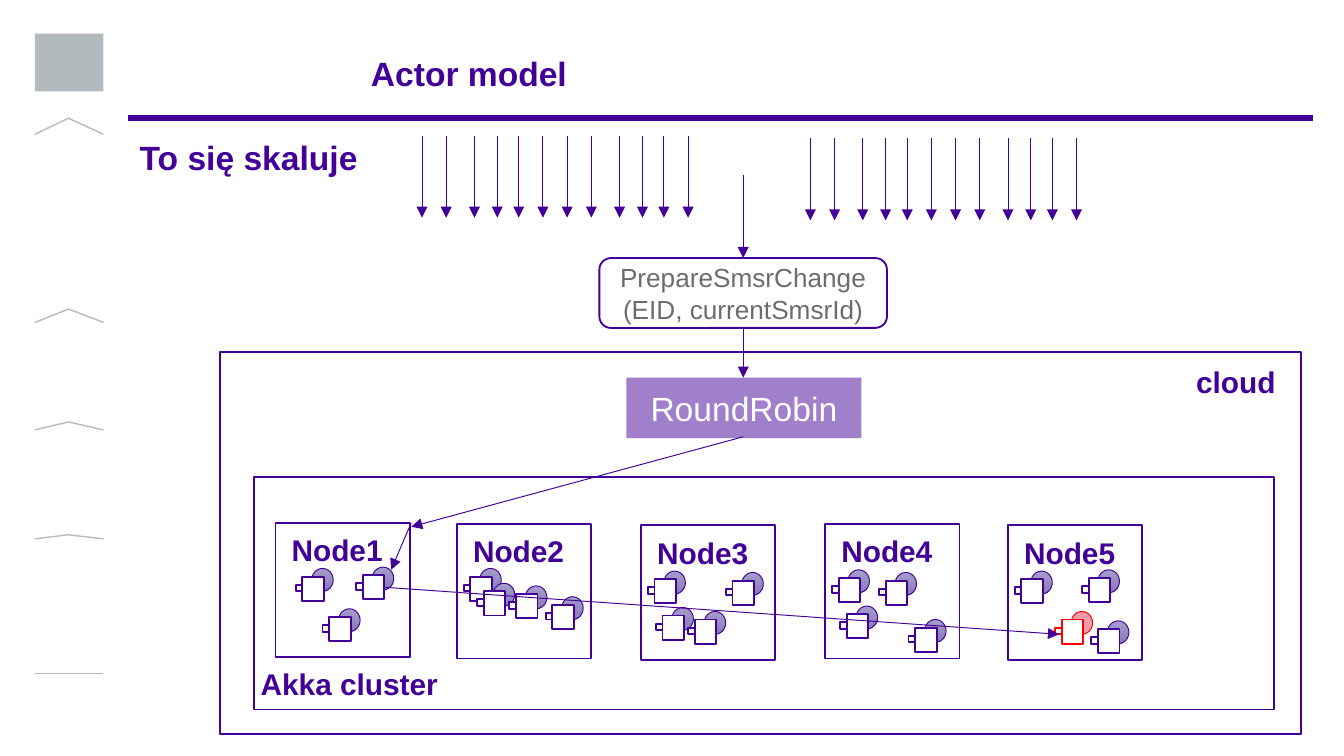
from typing import NamedTuple

from lxml.etree import SubElement
from pptx import Presentation
from pptx.dml.color import RGBColor
from pptx.enum.shapes import MSO_CONNECTOR as Connector, MSO_SHAPE as Shape
from pptx.enum.text import MSO_ANCHOR as Anchor, PP_ALIGN as Align
from pptx.oxml.ns import qn
from pptx.util import Inches, Pt

PURPLE, WHITE, GREY, TEXT_GREY, RED = "430099", "FFFFFF", "B3BABE", "6C6D6B", "FF0000"
ACTOR_TOP, ACTOR_BOTTOM, RED_ACTOR = "A59DCA", "877CB8", "F39CA9"


class Actor(NamedTuple):
    left: float
    top: float
    active: bool = False


class Node(NamedTuple):
    name: str
    left: float
    top: float
    actors: list[Actor]


class Arrow(NamedTuple):
    x1: float
    y1: float
    x2: float
    y2: float


class Label(NamedTuple):
    text: str
    left: float
    top: float
    width: float
    size: int = 16


class Chevron(NamedTuple):
    peak: float
    base: float


NODES = [
    Node("Node1", 2.05, 3.89, [Actor(2.2, 4.23), Actor(2.65, 4.22), Actor(2.4, 4.53)]),
    Node("Node2", 3.4, 3.9, [Actor(3.45, 4.23), Actor(3.55, 4.34),
                             Actor(3.79, 4.36), Actor(4.06, 4.44)]),
    Node("Node3", 4.77, 3.91, [Actor(4.82, 4.25), Actor(4.88, 4.52),
                               Actor(5.12, 4.55), Actor(5.4, 4.26)]),
    Node("Node4", 6.14, 3.9, [Actor(6.19, 4.24), Actor(6.25, 4.51),
                              Actor(6.54, 4.26), Actor(6.76, 4.61)]),
    Node("Node5", 7.5, 3.91, [Actor(7.55, 4.25), Actor(8.05, 4.24),
                              Actor(7.85, 4.55, active=True), Actor(8.12, 4.62)]),
]
LABELS = [
    Label("Actor model", 2.72, 0.33, 8, 18),
    Label("To się skaluje", 1, 0.95, 8, 18),
    Label("cloud", 8.86, 2.62, 0.83),
    Label("Akka cluster", 1.9, 4.87, 1.74),
]
MESSAGE_PATH = [
    Arrow(5.53, 1.3, 5.53, 1.92),
    Arrow(5.53, 2.44, 5.53, 2.81),
    Arrow(5.53, 3.25, 3.06, 3.92),
    Arrow(3.06, 3.89, 2.91, 4.24),
    Arrow(2.86, 4.37, 7.88, 4.72),
]
REQUEST_STARTS = [(3.14, 1.01), (6.03, 1.03)]
REQUEST_OFFSETS = [0, 0.18, 0.39, 0.56, 0.72, 0.9]
REQUEST_PERIOD, REQUEST_LENGTH = 1.08, 0.61
CHEVRONS = [Chevron(0.88, 1), Chevron(2.3, 2.4), Chevron(3.14, 3.2),
            Chevron(3.98, 4.01), Chevron(5.01, 5.01)]


def color(hex_code: str) -> RGBColor:
    return RGBColor.from_string(hex_code)


def add_block(shapes, kind, left: float, top: float, width: float, height: float,
              fill: str | None = WHITE, line: str | None = PURPLE, weight: float = 1):
    block = shapes.add_shape(kind, Inches(left), Inches(top), Inches(width), Inches(height))
    block.shadow.inherit = False
    if fill:
        block.fill.solid()
        block.fill.fore_color.rgb = color(fill)
    if line:
        block.line.color.rgb = color(line)
        block.line.width = Pt(weight)
    else:
        block.line.fill.background()
    return block


def add_span(para, text: str, size: int, hex_code: str, bold: bool = False) -> None:
    span = para.add_run()
    span.text = text
    span.font.name = "Arial"
    span.font.size = Pt(size)
    span.font.bold = bold
    span.font.color.rgb = color(hex_code)


def write_centred(block, lines: list[str], size: int, hex_code: str) -> None:
    frame = block.text_frame
    frame.word_wrap = True
    frame.vertical_anchor = Anchor.MIDDLE
    for index, line in enumerate(lines):
        para = frame.add_paragraph() if index else frame.paragraphs[0]
        para.alignment = Align.CENTER
        add_span(para, line, size, hex_code)


def add_label(shapes, label: Label) -> None:
    box = shapes.add_textbox(Inches(label.left), Inches(label.top),
                             Inches(label.width), Inches(0.47))
    frame = box.text_frame
    frame.word_wrap = True
    frame.vertical_anchor = Anchor.MIDDLE
    frame.margin_left = frame.margin_right = Inches(0.04)
    frame.margin_top = frame.margin_bottom = 0
    para = frame.paragraphs[0]
    para.line_spacing = 0.9
    add_span(para, label.text, label.size, PURPLE, bold=True)


def add_line(shapes, ends: Arrow, weight: float = 0.5, head: bool = True) -> None:
    line = shapes.add_connector(Connector.STRAIGHT, *(Inches(value) for value in ends))
    line.line.color.rgb = color(PURPLE)
    line.line.width = Pt(weight)
    properties = line._element.spPr
    if head:
        SubElement(properties.get_or_add_ln(), qn("a:tailEnd"), type="triangle")
    SubElement(properties, qn("a:effectLst"))


def add_actor(shapes, actor: Actor) -> None:
    """Draw an actor as a circle behind a square body with a small port."""
    group = shapes.add_group_shape().shapes
    line = RED if actor.active else PURPLE
    fill = RED_ACTOR if actor.active else None
    circle = add_block(group, Shape.OVAL, actor.left + 0.12, actor.top, 0.16, 0.17,
                       fill, line, 0.5)
    if not actor.active:
        circle.fill.gradient()
        circle.fill.gradient_angle = 270
        for stop, shade in zip(circle.fill.gradient_stops, (ACTOR_TOP, ACTOR_BOTTOM)):
            stop.color.rgb = color(shade)
    add_block(group, Shape.RECTANGLE, actor.left + 0.05, actor.top + 0.06, 0.16, 0.18, line=line)
    add_block(group, Shape.RECTANGLE, actor.left, actor.top + 0.12, 0.05, 0.05, line=line)


def add_node(shapes, node: Node) -> None:
    add_block(shapes, Shape.RECTANGLE, node.left, node.top, 1, 1)
    add_label(shapes, Label(node.name, node.left + 0.08, node.top - 0.02, 0.92))
    for actor in node.actors:
        add_actor(shapes, actor)


def add_chevrons(shapes) -> None:
    left, middle, right = Inches(0.26), Inches(0.51), Inches(0.77)
    first, *others = CHEVRONS
    builder = shapes.build_freeform(left, Inches(first.base))
    builder.add_line_segments(
        [(middle, Inches(first.peak)), (right, Inches(first.base))], close=False)
    for chevron in others:
        builder.move_to(left, Inches(chevron.base))
        builder.add_line_segments(
            [(middle, Inches(chevron.peak)), (right, Inches(chevron.base))], close=False)
    outline = builder.convert_to_shape()
    outline.shadow.inherit = False
    outline.fill.background()
    outline.line.color.rgb = color(GREY)
    outline.line.width = Pt(0.75)


def main() -> None:
    deck = Presentation()
    deck.slide_width = Inches(10)
    deck.slide_height = deck.slide_width * 9 // 16
    page = deck.slides.add_slide(deck.slide_layouts[6])
    shapes = page.shapes

    add_block(shapes, Shape.RECTANGLE, 0.26, 0.25, 0.51, 0.43, GREY, None)
    add_chevrons(shapes)
    add_line(shapes, Arrow(0.95, 0.88, 9.77, 0.88), weight=3, head=False)
    add_block(shapes, Shape.RECTANGLE, 1.64, 2.62, 8.04, 2.84)
    add_block(shapes, Shape.RECTANGLE, 1.89, 3.55, 7.59, 1.73)
    for node in NODES:
        add_node(shapes, node)

    message = add_block(shapes, Shape.ROUNDED_RECTANGLE, 4.46, 1.92, 2.14, 0.52)
    write_centred(message, ["PrepareSmsrChange", "(EID, currentSmsrId)"], 14, TEXT_GREY)
    router = add_block(shapes, Shape.RECTANGLE, 4.66, 2.81, 1.75, 0.45, PURPLE, None)
    router_color = router._element.spPr.find(qn("a:solidFill"))[0]
    SubElement(router_color, qn("a:alpha"), val="50000")
    write_centred(router, ["RoundRobin"], 18, WHITE)

    for label in LABELS:
        add_label(shapes, label)
    for arrow in MESSAGE_PATH:
        add_line(shapes, arrow)
    for start, top in REQUEST_STARTS:
        for shift in (0, REQUEST_PERIOD):
            for offset in REQUEST_OFFSETS:
                x = start + shift + offset
                add_line(shapes, Arrow(x, top, x, top + REQUEST_LENGTH))
    deck.save("out.pptx")


if __name__ == "__main__":
    main()
